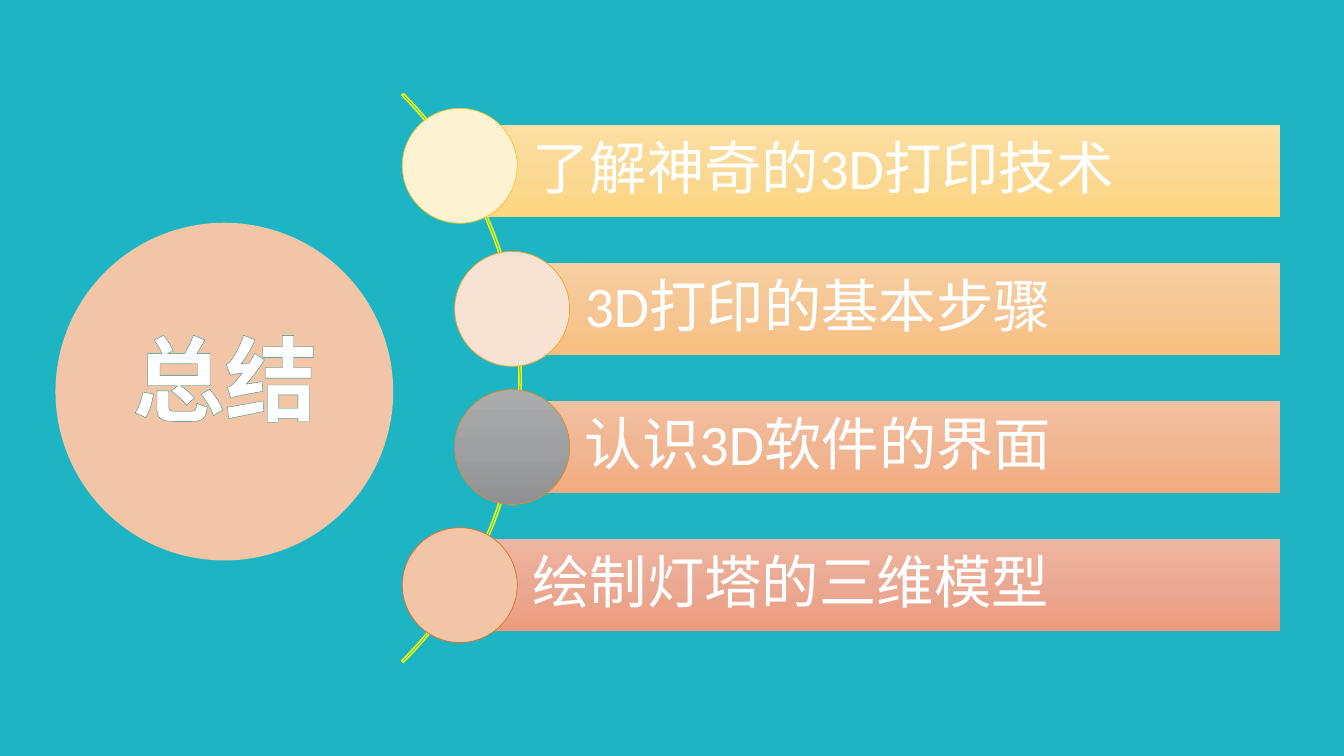
from copy import deepcopy
from dataclasses import dataclass

from lxml import etree
from pptx import Presentation
from pptx.dml.color import RGBColor
from pptx.enum import shapes, text
from pptx.oxml.ns import qn
from pptx.util import Inches, Pt


@dataclass(frozen=True)
class Theme:
    font: str = "Calibri"
    background: str = "1DB5C4"
    text: str = "FFFFFF"
    title_outline: str = "248882"
    hub: str = "F2C5A7"
    arc: str = "FFFF00"
    title_size: float = 66
    bar_size: float = 41
    arc_width: float = 1
    dot_width: float = 0.5


THEME = Theme()

# Wording, bar gradient, dot fill (one colour or a gradient), dot line
POINTS = [
    ("了解神奇的3D打印技术", ("FCDFA2", "FAD994", "FED67F"), ("FDF3D3",), "F4C325"),
    ("3D打印的基本步骤", ("F7CFA2", "F5C694", "F8C07F"), ("F8E2D3",), "EDA524"),
    ("认识3D软件的界面", ("F3C1A2", "F0B693", "F3AC7F"),
     ("ABACAD", "9FA0A1", "8E9092"), "E68824"),
    ("绘制灯塔的三维模型", ("EEB5A1", "EBA993", "EC9B7F"), ("F2C5A7",), "DE6D24"),
]


def rgb(value):
    return RGBColor.from_string(value)


def paint(shape, colours):
    """Fill with one colour, or from top to bottom with three."""
    if len(colours) == 1:
        shape.fill.solid()
        shape.fill.fore_color.rgb = rgb(colours[0])
        return
    shape.fill.gradient()
    shape.fill.gradient_angle = 270
    stop_list = shape._element.spPr.find(qn("a:gradFill")).find(qn("a:gsLst"))
    stop_list.insert(1, deepcopy(stop_list[0]))
    for stop, position, colour in zip(shape.fill.gradient_stops, (0, 0.5, 1), colours):
        stop.position = position
        stop.color.rgb = rgb(colour)


def add_part(slide, kind, box, colours=(), line=None, line_width=0):
    part = slide.shapes.add_shape(kind, *(Inches(length) for length in box))
    part.shadow.inherit = False
    if colours:
        paint(part, colours)
    else:
        part.fill.background()
    if line:
        part.line.color.rgb = rgb(line)
        part.line.width = Pt(line_width)
    else:
        part.line.fill.background()
    return part


def write(frame, wording, size, align):
    frame.text = wording
    paragraph = frame.paragraphs[0]
    paragraph.alignment = align
    font = paragraph.runs[0].font
    font.name, font.size = THEME.font, Pt(size)
    font.color.rgb = rgb(THEME.text)
    return paragraph


def add_bars(slide, left, top, right, pitch, height, indents):
    for row, (wording, gradient, _, _) in enumerate(POINTS):
        start = left + indents[row]
        bar = add_part(slide, shapes.MSO_SHAPE.RECTANGLE,
                       (start, top + row * pitch, right - start, height), gradient)
        frame = bar.text_frame
        frame.word_wrap = True
        frame.vertical_anchor = text.MSO_ANCHOR.MIDDLE
        frame.margin_left = Inches(0.72)
        frame.margin_right = frame.margin_top = frame.margin_bottom = Inches(0.11)
        paragraph = write(frame, wording, THEME.bar_size, text.PP_ALIGN.LEFT)
        paragraph.line_spacing = 0.9


def add_arc(slide, left, top, diameter):
    arc = add_part(slide, shapes.MSO_SHAPE.BLOCK_ARC, (left, top, diameter, diameter),
                   line=THEME.arc, line_width=THEME.arc_width)
    for index, value in enumerate((189, 27, 0.003)):
        arc.adjustments[index] = value


def add_dots(slide, left, top, pitch, diameter, indents):
    lifts = (0.05, 0, 0, 0)  # the first dot sits slightly higher
    for row, (_, _, fill, line) in enumerate(POINTS):
        add_part(slide, shapes.MSO_SHAPE.OVAL,
                 (left + indents[row], top + row * pitch - lifts[row], diameter, diameter),
                 fill, line, THEME.dot_width)


def add_hub(slide, left, top, diameter):
    add_part(slide, shapes.MSO_SHAPE.OVAL, (left, top, diameter, diameter), (THEME.hub,))

    # Title lies on top of the hub
    title = slide.shapes.title
    slide.shapes._spTree.append(title._element)
    title.left, title.top = Inches(left + 0.65), Inches(top + 0.93)
    title.width, title.height = Inches(2.06), Inches(1.21)
    frame = title.text_frame
    frame.word_wrap = False
    frame.auto_size = text.MSO_AUTO_SIZE.SHAPE_TO_FIT_TEXT
    frame.vertical_anchor = text.MSO_ANCHOR.TOP
    run = write(frame, "总结", THEME.title_size, text.PP_ALIGN.CENTER).runs[0]
    run.font.bold = True

    # Thin outline around the letters
    outline = etree.Element(qn("a:ln"), w=str(Pt(0.52)))
    fill = etree.SubElement(outline, qn("a:solidFill"))
    etree.SubElement(fill, qn("a:srgbClr"), val=THEME.title_outline)
    run.font._element.insert(0, outline)


def add_summary(prs):
    slide = prs.slides.add_slide(prs.slide_layouts[5])
    slide.background.fill.solid()
    slide.background.fill.fore_color.rgb = rgb(THEME.background)

    # Rows follow the bulge of the arc
    pitch, bar_height, dot = 1.37, 0.91, 1.14
    bar_left, bar_top = 4.56, 1.24
    indents = (0, 0.52, 0.52, 0)
    add_bars(slide, bar_left, bar_top, 12.7, pitch, bar_height, indents)
    add_arc(slide, -2.81, -0.24, 7.98)
    add_dots(slide, bar_left - dot / 2, bar_top + (bar_height - dot) / 2,
             pitch, dot, indents)
    add_hub(slide, 0.55, 2.21, 3.35)


def main():
    prs = Presentation()
    prs.slide_width, prs.slide_height = Inches(13.33), Inches(7.5)
    add_summary(prs)
    prs.save("out.pptx")


if __name__ == "__main__":
    main()
